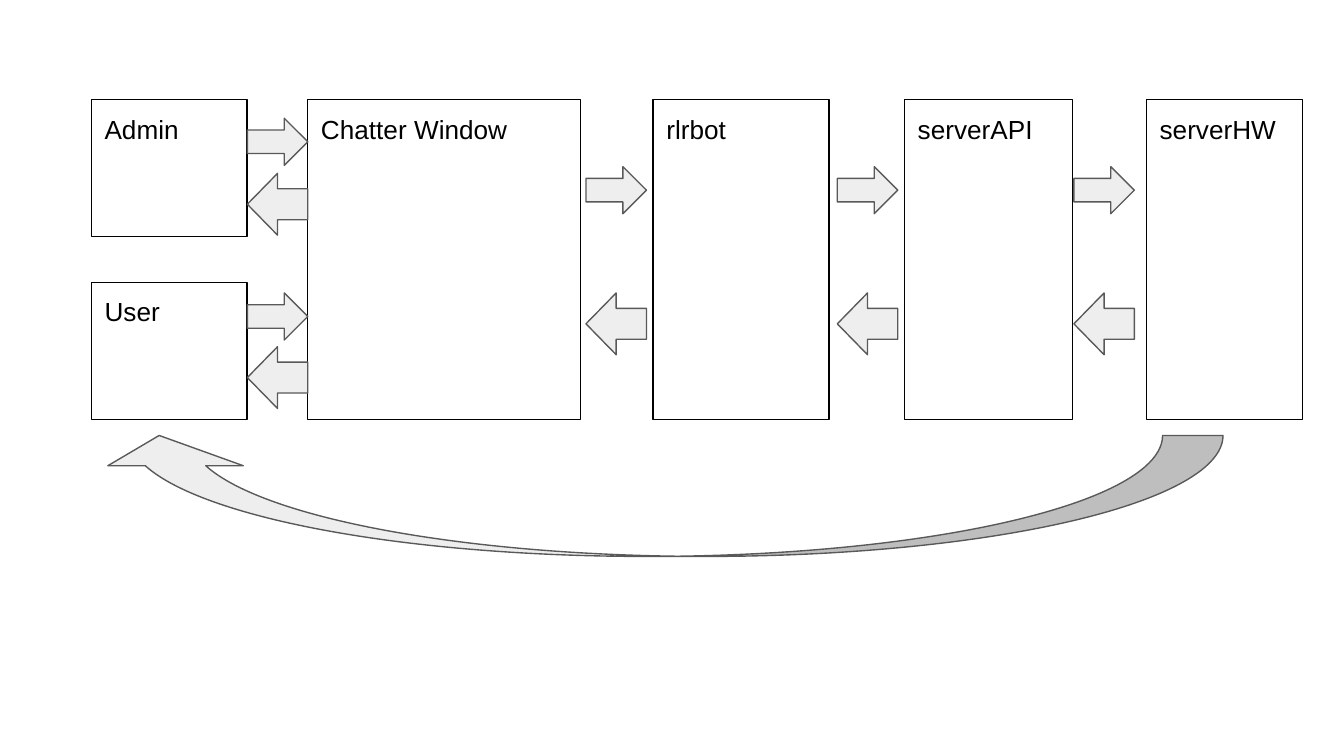
import pptx
import pptx.util
import pptx.dml.color
import pptx.enum.shapes
import pptx.enum.text

Inches, Pt = pptx.util.Inches, pptx.util.Pt
SHAPE = pptx.enum.shapes.MSO_SHAPE

COLORS = {"ink": "000000", "arrow": "EEEEEE", "arrow_line": "595959"}
FONT = "Arial"

TOP, FULL_H, HALF_H, USER_TOP = 0.74, 2.38, 1.02, 2.10
BOXES = [  # label, left, top, width, height
    ("rlrbot", 4.86, TOP, 1.31, FULL_H),
    ("Admin", 0.68, TOP, 1.16, HALF_H),
    ("User", 0.68, USER_TOP, 1.16, HALF_H),
    ("Chatter Window", 2.29, TOP, 2.03, FULL_H),
    ("serverAPI", 6.73, TOP, 1.25, FULL_H),
    ("serverHW", 8.53, TOP, 1.16, FULL_H),
]

ARROW_W, REQUEST_H, REPLY_H = 0.45, 0.35, 0.46
ARROW_PAIRS = [  # left, top of request arrow, top of reply arrow
    (1.84, 0.88, 1.29),
    (1.84, 2.18, 2.58),
    (4.36, 1.24, 2.18),
    (6.23, 1.24, 2.18),
    (7.99, 1.24, 2.18),
]
RETURN_ARROW = (0.68, 3.24, 8.42, 0.9)


def rgb(name):
    return pptx.dml.color.RGBColor.from_string(COLORS[name])


def add_shape(slide, kind, box, line, fill=None):
    sp = slide.shapes.add_shape(kind, *(Inches(v) for v in box))
    sp.shadow.inherit = False
    if fill:
        sp.fill.solid()
        sp.fill.fore_color.rgb = rgb(fill)
    else:
        sp.fill.background()
    sp.line.color.rgb = rgb(line)
    sp.line.width = Pt(0.75)
    return sp


def add_box(slide, label, *box):
    sp = add_shape(slide, SHAPE.RECTANGLE, box, "ink")
    tf = sp.text_frame
    tf.word_wrap = True
    tf.vertical_anchor = pptx.enum.text.MSO_ANCHOR.TOP
    tf.margin_left = tf.margin_right = Inches(0.1)
    tf.margin_top = tf.margin_bottom = Inches(0.1)
    p = tf.paragraphs[0]
    p.text = label
    p.alignment = pptx.enum.text.PP_ALIGN.LEFT
    p.font.name = FONT
    p.font.size = Pt(14)
    p.font.color.rgb = rgb("ink")


def add_arrow(slide, kind, *box):
    return add_shape(slide, kind, box, "arrow_line", "arrow")


def main():
    prs = pptx.Presentation()
    prs.slide_width = Inches(10)
    prs.slide_height = prs.slide_width * 9 // 16
    slide = prs.slides.add_slide(prs.slide_layouts[6])

    for box in BOXES:
        add_box(slide, *box)

    for left, request_top, _ in ARROW_PAIRS:
        add_arrow(slide, SHAPE.RIGHT_ARROW, left, request_top, ARROW_W, REQUEST_H)
    for left, _, reply_top in ARROW_PAIRS:
        add_arrow(slide, SHAPE.LEFT_ARROW, left, reply_top, ARROW_W, REPLY_H)

    return_arrow = add_arrow(slide, SHAPE.CURVED_DOWN_ARROW, *RETURN_ARROW)
    return_arrow.rotation = 180
    for i, value in enumerate((0.5, 1.12, 0.25)):
        return_arrow.adjustments[i] = value

    prs.save("out.pptx")


if __name__ == "__main__":
    main()
